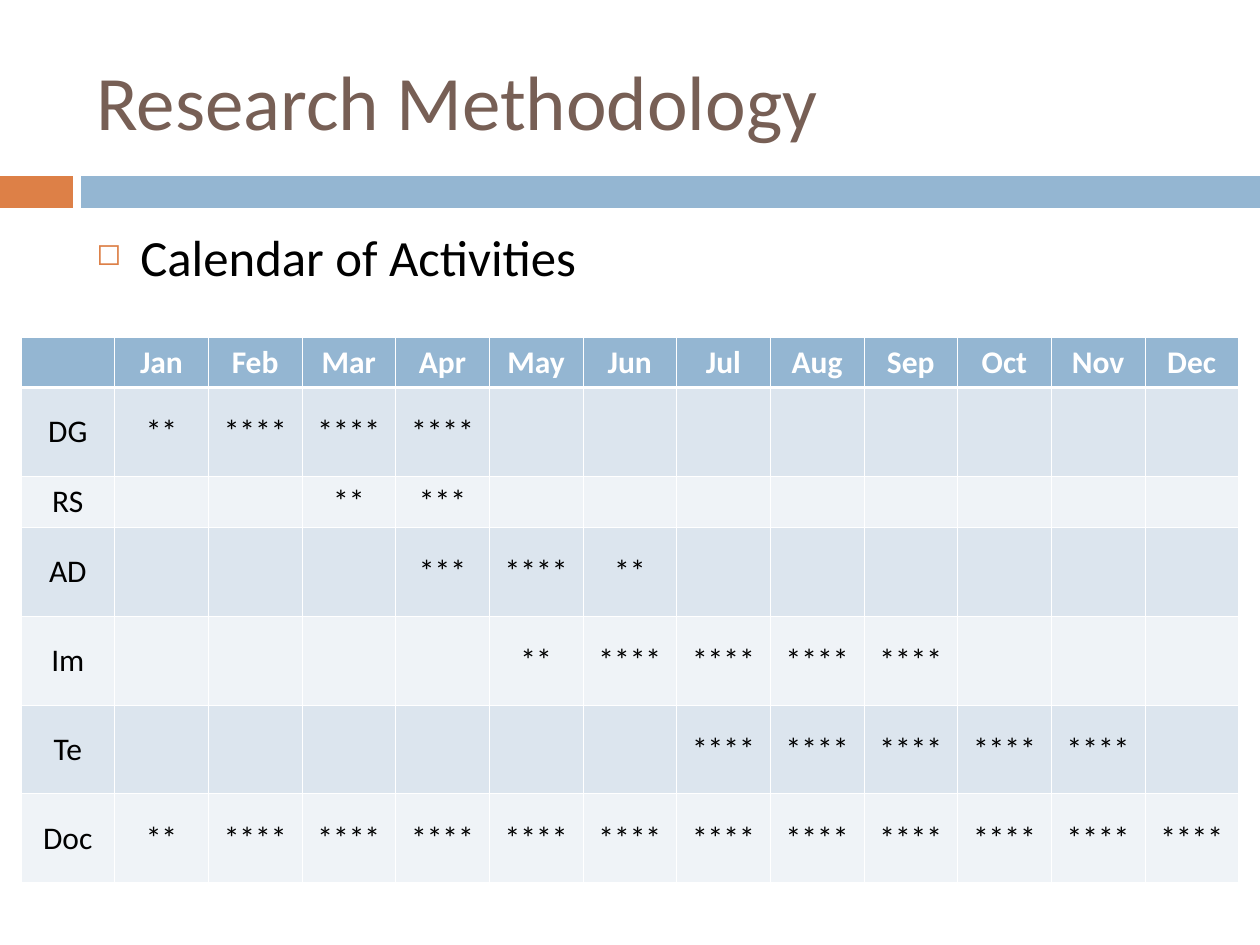
import pptx
import pptx.util
import pptx.dml.color
import pptx.enum.shapes
import pptx.enum.text
import pptx.oxml.ns
import lxml.etree

RGB = pptx.dml.color.RGBColor
BROWN = RGB(0x77, 0x5F, 0x55)
ORANGE = RGB(0xDD, 0x80, 0x47)
BLUE = RGB(0x94, 0xB6, 0xD2)
DARK = RGB(0xDC, 0xE5, 0xEE)
LIGHT = RGB(0xEF, 0xF3, 0xF7)
WHITE = RGB(0xFF, 0xFF, 0xFF)
BLACK = RGB(0x00, 0x00, 0x00)

FONT = "Calibri"
SCALE = 914400 / 126
MIDDLE = pptx.enum.text.MSO_ANCHOR.MIDDLE
CENTER = pptx.enum.text.PP_ALIGN.CENTER

MONTHS = "Jan Feb Mar Apr May Jun Jul Aug Sep Oct Nov Dec".split()
# Task name, first month (1 = Jan), stars for each month in turn
TASKS = [
    ("DG", 1, [2, 4, 4, 4]),
    ("RS", 3, [2, 3]),
    ("AD", 4, [3, 4, 2]),
    ("Im", 5, [2, 4, 4, 4, 4]),
    ("Te", 7, [4] * 5),
    ("Doc", 1, [2] + [4] * 11),
]
SHORT, TALL = 50, 89
HEIGHTS = [SHORT, TALL, SHORT, TALL, TALL, TALL, TALL]


def px(n):
    return pptx.util.Emu(round(n * SCALE))


def add_tag(parent, name, **attrs):
    return lxml.etree.SubElement(parent, pptx.oxml.ns.qn(name), attrs)


def style(para, size, color, bold=False):
    for run in para.runs:
        run.font.name = FONT
        run.font.size = pptx.util.Pt(size)
        run.font.color.rgb = color
        run.font.bold = bold


def add_text(slide, box, text, size, color):
    frame = slide.shapes.add_textbox(*map(px, box)).text_frame
    frame.word_wrap = True
    frame.text = text
    style(frame.paragraphs[0], size, color)
    return frame


def add_title(slide, box):
    frame = add_text(slide, box, "Research Methodology", 44, BROWN)
    frame.vertical_anchor = MIDDLE


def add_band(slide, box):
    left, top, width, height = box
    block, gap = 73, 8
    start = block + gap
    for x, w, color in ((0, block, ORANGE), (start, width - start, BLUE)):
        bar = slide.shapes.add_shape(
            pptx.enum.shapes.MSO_SHAPE.RECTANGLE,
            px(left + x), px(top), px(w), px(height))
        bar.shadow.inherit = False
        bar.fill.solid()
        bar.fill.fore_color.rgb = color
        bar.line.fill.background()


def add_body(slide, box):
    frame = add_text(slide, box, "Calendar of Activities", 29, BLACK)
    para = frame.paragraphs[0]
    para.space_before = pptx.util.Pt(7)
    props = para._p.get_or_add_pPr()
    props.set("marL", str(px(44)))
    props.set("indent", str(px(-44)))
    # Small orange square bullet
    add_tag(add_tag(props, "a:buClr"), "a:srgbClr", val=str(ORANGE))
    add_tag(props, "a:buSzPct", val="60000")
    add_tag(props, "a:buChar", char="◻")


def add_edges(cell, row):
    props = cell._tc.get_or_add_tcPr()
    thick = {0: "B", 1: "T"}.get(row)
    for side in "LRTB":
        width = pptx.util.Pt(1.47 if side == thick else 0.45)
        line = add_tag(props, "a:ln" + side, w=str(width))
        add_tag(add_tag(line, "a:solidFill"), "a:srgbClr", val=str(WHITE))


def fill_cell(cell, row, text):
    head = row == 0
    add_edges(cell, row)
    cell.fill.solid()
    cell.fill.fore_color.rgb = BLUE if head else DARK if row % 2 else LIGHT
    cell.vertical_anchor = MIDDLE
    if text:
        cell.text_frame.text = text
        para = cell.text_frame.paragraphs[0]
        para.alignment = CENTER
        style(para, 18, WHITE if head else BLACK, head)


def add_plan(slide, box):
    rows = [[""] + MONTHS]
    for name, first, counts in TASKS:
        row = [name] + [""] * len(MONTHS)
        row[first:first + len(counts)] = ["*" * n for n in counts]
        rows.append(row)
    table = slide.shapes.add_table(
        len(rows), len(rows[0]), *map(px, box)).table
    for r, row in enumerate(rows):
        table.rows[r].height = px(HEIGHTS[r])
        for c, text in enumerate(row):
            fill_cell(table.cell(r, c), r, text)


def main():
    deck = pptx.Presentation()
    deck.slide_width, deck.slide_height = px(1260), px(945)
    slide = deck.slides.add_slide(deck.slide_layouts[6])
    add_band(slide, (0, 176, 1260, 32))
    add_title(slide, (84, 32, 1124, 136))
    add_body(slide, (84, 220, 1124, 620))
    add_plan(slide, (21, 337, 1218, sum(HEIGHTS)))
    deck.save("out.pptx")


if __name__ == "__main__":
    main()
